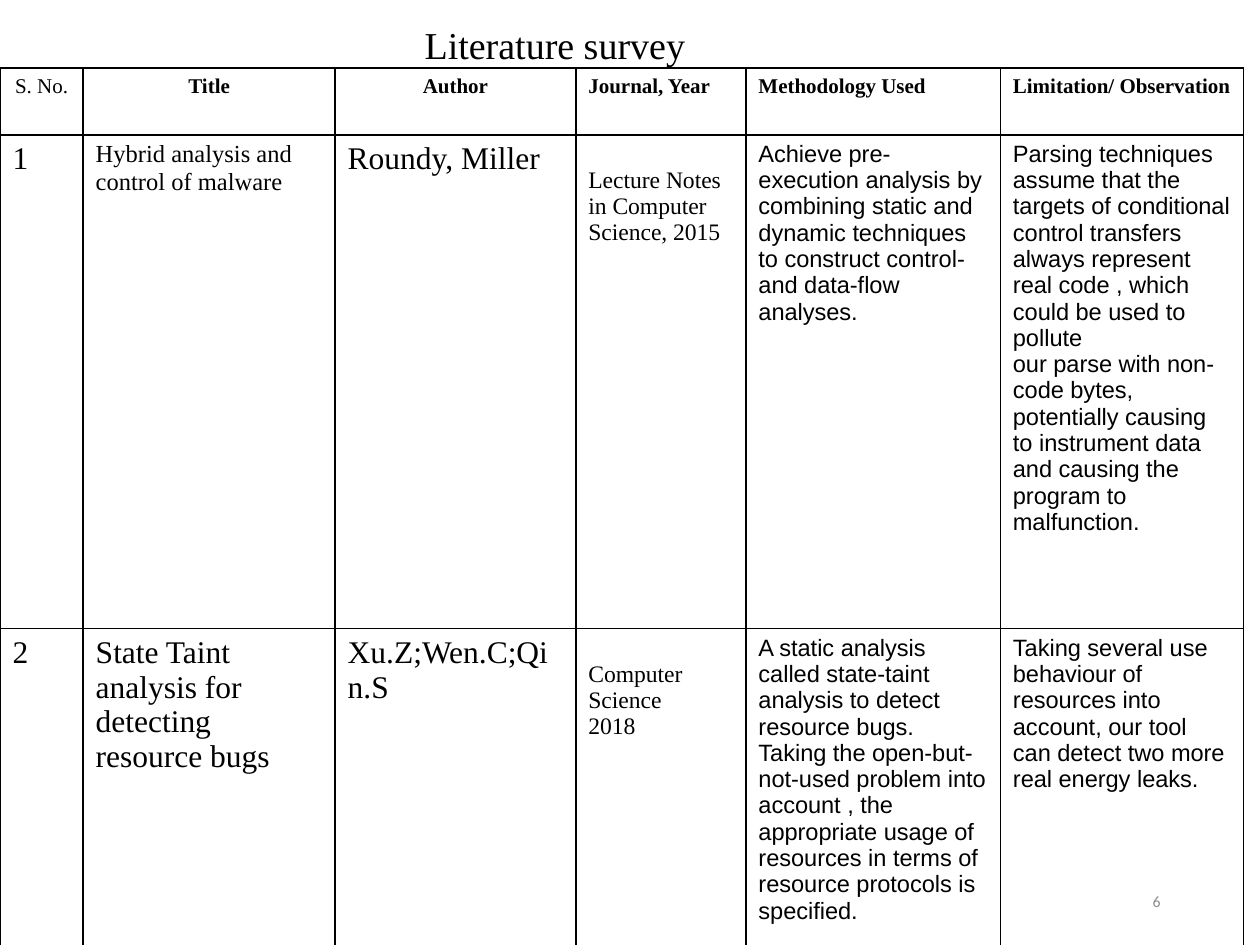
from lxml import etree
from pptx import Presentation
from pptx.dml.color import RGBColor
from pptx.enum.text import MSO_ANCHOR, MSO_AUTO_SIZE, PP_ALIGN
from pptx.oxml.ns import qn
from pptx.util import Inches, Pt

LEFT, CENTER, RIGHT = PP_ALIGN.LEFT, PP_ALIGN.CENTER, PP_ALIGN.RIGHT
TOP, MIDDLE = MSO_ANCHOR.TOP, MSO_ANCHOR.MIDDLE
NO_FIT = MSO_AUTO_SIZE.NONE
SERIF, SANS = "Times New Roman", "Arial"
BLACK, GRAY = "000000", "8C8C8C"
BORDER_SIDES = ("a:lnL", "a:lnR", "a:lnT", "a:lnB")

COLUMN_WIDTHS = (0.66, 2, 1.91, 1.35, 2.02, 1.93)
ROW_HEIGHTS = (0.53, 3.92, 2.51)
HEADER = {"size": 12, "bold": True}
CENTERED = {**HEADER, "align": CENTER}
LARGE = {"size": 18}
JOURNAL = {"size": 13.5, "top": 0.26}
BODY = {"size": 13.5, "font": SANS}

SURVEY = (
    (
        ("S. No.", {"size": 12, "align": CENTER}),
        ("Title", CENTERED),
        ("Author", CENTERED),
        ("Journal, Year", HEADER),
        ("Methodology Used", HEADER),
        ("Limitation/ Observation", HEADER),
    ),
    (
        ("1", LARGE),
        ("Hybrid analysis and control of malware", {"size": 14}),
        ("Roundy, Miller", LARGE),
        ("Lecture Notes in Computer Science, 2015", JOURNAL),
        ("Achieve pre-execution analysis by combining static and dynamic techniques "
         "to construct control- and data-flow analyses.", BODY),
        ("Parsing techniques assume that the targets of conditional control transfers "
         "always represent real code , which could be used to pollute\n"
         "our parse with non-code bytes, potentially causing to instrument data and "
         "causing the program to malfunction.", BODY),
    ),
    (
        ("2", LARGE),
        ("State Taint analysis for detecting resource bugs", LARGE),
        ("Xu.Z;Wen.C;Qin.S", LARGE),
        ("Computer Science\n2018", JOURNAL),
        ("A static analysis called state-taint analysis to detect resource bugs. Taking "
         "the open-but-not-used problem into account , the appropriate usage of "
         "resources in terms of resource protocols is specified.", BODY),
        ("Taking several use behaviour of resources into account, our tool can detect "
         "two more real energy leaks.", BODY),
    ),
)


def rgb(color):
    """Turn a hex string into a colour."""
    return RGBColor.from_string(color)


def write_text(holder, text, size=18, font=SERIF, color=BLACK, bold=False,
               align=LEFT, anchor=TOP, top=0.05):
    """Write formatted paragraphs into a shape or a table cell."""
    holder.vertical_anchor = anchor
    holder.margin_left = holder.margin_right = Inches(0.1)
    holder.margin_top, holder.margin_bottom = Inches(top), Inches(0.05)
    frame = getattr(holder, "text_frame", holder)
    frame.text = text
    for paragraph in frame.paragraphs:
        paragraph.alignment = align
        for run in paragraph.runs:
            run.font.name = font
            run.font.size = Pt(size)
            run.font.bold = bold
            run.font.color.rgb = rgb(color)


def add_borders(cell, color=BLACK, width=1):
    """Draw a solid line on each side of a cell."""
    properties = cell._tc.get_or_add_tcPr()
    for position, side in enumerate(BORDER_SIDES):
        line = etree.Element(qn(side), w=str(Pt(width)))
        fill = etree.SubElement(line, qn("a:solidFill"))
        etree.SubElement(fill, qn("a:srgbClr"), val=color)
        properties.insert(position, line)


def add_title(slide, left, top, width, height):
    """Place the slide heading in its placeholder."""
    title = slide.shapes.title
    title.left, title.top = Inches(left), Inches(top)
    title.width, title.height = Inches(width), Inches(height)
    frame = title.text_frame
    frame.word_wrap = True
    frame.auto_size = NO_FIT
    write_text(frame, "Literature survey", size=21.7, align=CENTER, top=0.17)


def add_slide_number(slide, left, top, width, height):
    """Place the slide number."""
    box = slide.shapes.add_textbox(Inches(left), Inches(top), Inches(width), Inches(height))
    box.text_frame.word_wrap = True
    write_text(box.text_frame, "6", size=9, font="Calibri", color=GRAY,
               align=RIGHT, anchor=MIDDLE)


def add_survey_table(slide, left, top):
    """Build the literature table from its top left corner."""
    table = slide.shapes.add_table(
        len(ROW_HEIGHTS), len(COLUMN_WIDTHS), Inches(left), Inches(top),
        Inches(sum(COLUMN_WIDTHS)), Inches(sum(ROW_HEIGHTS))).table
    table.first_row = table.horz_banding = False
    for column, width in zip(table.columns, COLUMN_WIDTHS):
        column.width = Inches(width)
    for row, height, entries in zip(table.rows, ROW_HEIGHTS, SURVEY):
        row.height = Inches(height)
        for cell, (text, style) in zip(row.cells, entries):
            write_text(cell, text, **style)
            cell.fill.background()
            add_borders(cell)


def main():
    """Build and save the presentation."""
    presentation = Presentation()
    presentation.slide_width, presentation.slide_height = Inches(10), Inches(7.5)
    slide = presentation.slides.add_slide(presentation.slide_layouts[5])
    add_slide_number(slide, 7.06, 6.95, 2.25, 0.4)
    add_title(slide, 0, 0, 8.81, 0.45)
    add_survey_table(slide, 0, 0.54)
    presentation.save("out.pptx")


main()
